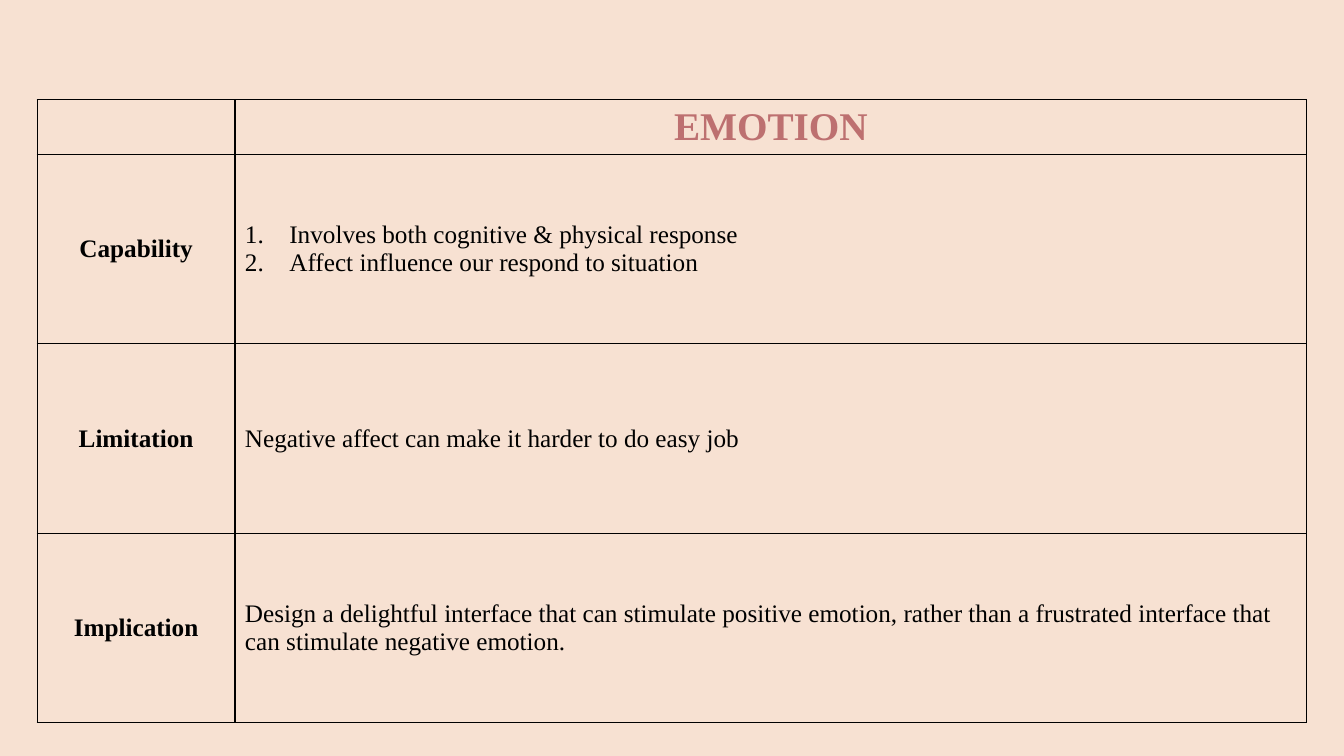
from lxml.etree import SubElement
from pptx import Presentation
from pptx.dml.color import RGBColor as Color
from pptx.enum.text import MSO_ANCHOR as Anchor, PP_ALIGN as Align
from pptx.oxml import parse_xml
from pptx.oxml.ns import nsdecls, qn
from pptx.util import Inches, Pt

COLORS = {"page": "F7E1D2", "title": "BD7070", "ink": "000000"}
WIDTH, HEIGHT = 13.33, 7.5
LEFT, TOP = 0.37, 0.99
COLUMNS = [1.96, 10.63]
ROWS = [0.54] + [1.88] * 3

BODY = {"name": "Times New Roman", "size": Pt(18), "bold": False, "color": "ink"}
LABEL = BODY | {"bold": True}
TITLE = LABEL | {"size": Pt(28), "color": "title"}
TIGHT = {"margin_left": Inches(0.07), "margin_right": Inches(0.07),
         "margin_top": Inches(0.04), "margin_bottom": Inches(0.04)}

TRAITS = [
    ("Capability", ["Involves both cognitive & physical response",
                    "Affect influence our respond to situation"]),
    ("Limitation", ["Negative affect can make it harder to do easy job"]),
    ("Implication", ["Design a delightful interface that can stimulate positive emotion, "
                     "rather than a frustrated interface that can stimulate negative emotion."]),
]


def add_grid(page):
    """Add an unfilled table with thin borders."""
    frame = page.shapes.add_table(
        len(ROWS), len(COLUMNS), Inches(LEFT), Inches(TOP),
        Inches(sum(COLUMNS)), Inches(sum(ROWS)))
    table = frame.table
    table.first_row = table.horz_banding = False
    for column, width in zip(table.columns, COLUMNS):
        column.width = Inches(width)
    for row, height in zip(table.rows, ROWS):
        row.height = Inches(height)
    for cell in table.iter_cells():
        cell.fill.background()
        add_borders(cell)
    return table


def add_borders(cell):
    properties = cell._tc.get_or_add_tcPr()
    for index, side in enumerate("LRTB"):
        properties.insert(index, parse_xml(
            f'<a:ln{side} {nsdecls("a")} w="{Pt(1)}"><a:solidFill>'
            f'<a:srgbClr val="{COLORS["ink"]}"/></a:solidFill></a:ln{side}>'))


def number(para):
    """Number the paragraph with a hanging indent."""
    properties = para._p.get_or_add_pPr()
    indent = Inches(0.44)
    properties.set("marL", str(indent))
    properties.set("indent", str(-indent))
    SubElement(properties, qn("a:buFont"), typeface="+mj-lt")
    SubElement(properties, qn("a:buAutoNum"), type="arabicPeriod")


def write(cell, lines, style, align=Align.LEFT, margins=None):
    cell.vertical_anchor = Anchor.MIDDLE
    for name, value in (margins or {}).items():
        setattr(cell, name, value)
    cell.text = "\n".join(lines)
    for para in cell.text_frame.paragraphs:
        para.alignment = align
        if len(lines) > 1:
            number(para)
        for span in para.runs:
            for name, value in style.items():
                if name == "color":
                    span.font.color.rgb = Color.from_string(COLORS[value])
                else:
                    setattr(span.font, name, value)


def main():
    deck = Presentation()
    deck.slide_width, deck.slide_height = Inches(WIDTH), Inches(HEIGHT)
    page = deck.slides.add_slide(deck.slide_layouts[6])

    # Background
    backdrop = page.background.fill
    backdrop.solid()
    backdrop.fore_color.rgb = Color.from_string(COLORS["page"])

    # Heading row, then one row per trait
    table = add_grid(page)
    write(table.cell(0, 1), ["EMOTION"], TITLE, Align.CENTER, TIGHT)
    for row, (label, lines) in enumerate(TRAITS, start=1):
        write(table.cell(row, 0), [label], LABEL, Align.CENTER, TIGHT)
        write(table.cell(row, 1), lines, BODY)

    deck.save("out.pptx")


if __name__ == "__main__":
    main()
